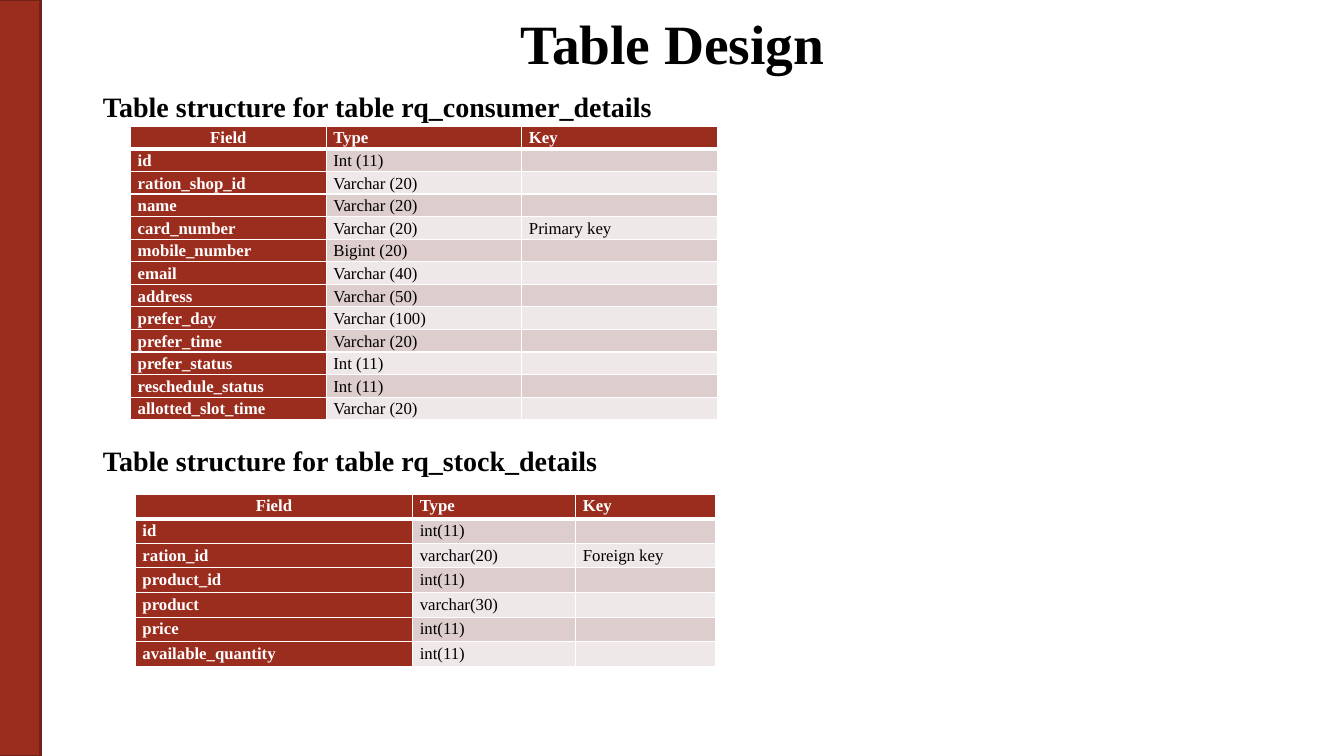
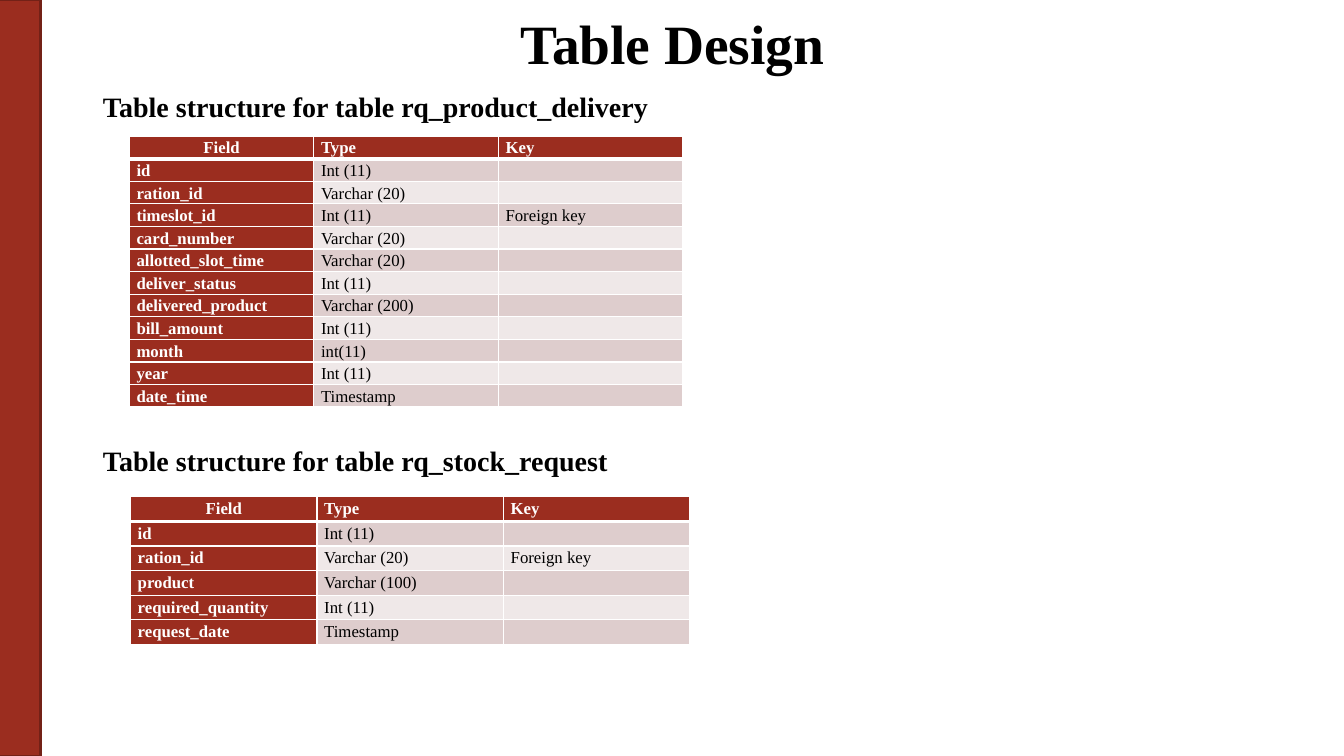
from dataclasses import dataclass

from lxml.etree import SubElement
from pptx import Presentation
from pptx.dml.color import RGBColor
from pptx.enum.shapes import MSO_SHAPE as Preset
from pptx.enum.text import MSO_AUTO_SIZE as AutoSize, MSO_ANCHOR as Anchor, PP_ALIGN as Align
from pptx.oxml.ns import qn
from pptx.slide import Slide, SlideLayout
from pptx.table import _Cell as Cell
from pptx.text.text import _Paragraph as Paragraph
from pptx.util import Cm, Pt

# Shared look
BRICK = RGBColor(0x9B, 0x2D, 0x1F)
DARK_BRICK = RGBColor(0x73, 0x21, 0x17)
ROSE = RGBColor(0xDE, 0xCD, 0xCD)
PALE_ROSE = RGBColor(0xEF, 0xE8, 0xE8)
WHITE = RGBColor(0xFF, 0xFF, 0xFF)
BLACK = RGBColor(0, 0, 0)
FONT = "Times New Roman"
CELL_SIZE = 12
HEADING_GAP = Pt(229)
TITLE_BOX = (2.34, 0.36, 29.21, 1.42)
BODY_BOX = (2.34, 2.13, 29.21, 15.04)
HEADER = ("Field", "Type", "Key")


@dataclass(frozen=True)
class Schema:
    """One database table; lengths in cm, fields as (name, type[, key])."""
    name: str
    left: float
    top: float
    widths: tuple[float, float, float]
    row_height: float
    fields: tuple[tuple[str, ...], ...]


CONSUMER = Schema("rq_consumer_details", 3.29, 3.18, (4.93,) * 3, 0.57, (
    ("id", "Int (11)"),
    ("ration_shop_id", "Varchar (20)"),
    ("name", "Varchar (20)"),
    ("card_number", "Varchar (20)", "Primary key"),
    ("mobile_number", "Bigint (20)"),
    ("email", "Varchar (40)"),
    ("address", "Varchar (50)"),
    ("prefer_day", "Varchar (100)"),
    ("prefer_time", "Varchar (20)"),
    ("prefer_status", "Int (11)"),
    ("reschedule_status", "Int (11)"),
    ("allotted_slot_time", "Varchar (20)"),
))
STOCK = Schema("rq_stock_details", 3.41, 12.45, (6.99, 4.11, 3.53), 0.62, (
    ("id", "int(11)"),
    ("ration_id", "varchar(20)", "Foreign key"),
    ("product_id", "int(11)"),
    ("product", "varchar(30)"),
    ("price", "int(11)"),
    ("available_quantity", "int(11)"),
))
DELIVERY = Schema("rq_product_delivery", 3.26, 3.43, (4.65,) * 3, 0.57, (
    ("id", "Int (11)"),
    ("ration_id", "Varchar (20)"),
    ("timeslot_id", "Int (11)", "Foreign key"),
    ("card_number", "Varchar (20)"),
    ("allotted_slot_time", "Varchar (20)"),
    ("deliver_status", "Int (11)"),
    ("delivered_product", "Varchar (200)"),
    ("bill_amount", "Int (11)"),
    ("month", "int(11)"),
    ("year", "Int (11)"),
    ("date_time", "Timestamp"),
))
REQUEST = Schema("rq_stock_request", 3.29, 12.52, (4.7,) * 3, 0.62, (
    ("id", "Int (11)"),
    ("ration_id", "Varchar (20)", "Foreign key"),
    ("product", "Varchar (100)"),
    ("required_quantity", "Int (11)"),
    ("request_date", "Timestamp"),
))
PAGES = ((CONSUMER, STOCK), (DELIVERY, REQUEST))


def add_text(paragraph: Paragraph, text: str, size: float, color: RGBColor, bold: bool) -> None:
    run = paragraph.add_run()
    run.text = text
    run.font.name = FONT
    run.font.size = Pt(size)
    run.font.bold = bold
    run.font.color.rgb = color


def place_placeholders(layout: SlideLayout) -> None:
    """Set the title and body places once, for every slide."""
    for index, box in enumerate((TITLE_BOX, BODY_BOX)):
        holder = layout.placeholders[index]
        holder.left, holder.top, holder.width, holder.height = map(Cm, box)


def add_master_band(slide: Slide) -> None:
    """Draw the side band and hand it to the slide master."""
    band = slide.shapes.add_shape(Preset.RECTANGLE, Cm(-0.05), 0, Cm(1.07), Cm(19.05))
    band.shadow.inherit = False
    band.fill.solid()
    band.fill.fore_color.rgb = BRICK
    band.line.color.rgb = DARK_BRICK
    band.line.width = Pt(2)
    band.element.nvSpPr.cNvPr.set("id", "20")
    slide.slide_layout.slide_master.element.cSld.spTree.insert(2, band.element)


def add_title(slide: Slide) -> None:
    frame = slide.shapes.title.text_frame
    frame.auto_size = AutoSize.NONE
    frame.vertical_anchor = Anchor.MIDDLE
    heading = frame.paragraphs[0]
    heading.alignment = Align.CENTER
    add_text(heading, "Table Design", 39.6, BLACK, True)


def add_headings(slide: Slide, schemas: tuple[Schema, ...]) -> None:
    frame = slide.placeholders[1].text_frame
    frame.auto_size = AutoSize.NONE
    for index, schema in enumerate(schemas):
        heading = frame.add_paragraph() if index else frame.paragraphs[0]
        heading.space_before = HEADING_GAP if index else Pt(0)
        properties = heading._p.get_or_add_pPr()
        properties.set("marL", "0")
        properties.set("indent", "0")
        SubElement(properties, qn("a:buNone"))
        add_text(heading, f"Table structure for table {schema.name}", 20, BLACK, True)


def set_borders(cell: Cell, row: int) -> None:
    """White rules, heavier between the header and the first field."""
    widths = {"L": 1, "R": 1, "T": 3 if row == 1 else 1, "B": 3 if row == 0 else 1}
    properties = cell._tc.get_or_add_tcPr()
    for side, width in widths.items():
        rule = SubElement(properties, qn(f"a:ln{side}"), w=str(Pt(width)))
        fill = SubElement(rule, qn("a:solidFill"))
        SubElement(fill, qn("a:srgbClr"), val=str(WHITE))


def fill_cell(cell: Cell, text: str, row: int, column: int) -> None:
    is_label = row == 0 or column == 0
    set_borders(cell, row)
    cell.fill.solid()
    cell.fill.fore_color.rgb = BRICK if is_label else ROSE if row % 2 else PALE_ROSE
    cell.margin_left = cell.margin_right = Cm(0.18)
    cell.margin_top = cell.margin_bottom = 0
    entry = cell.text_frame.paragraphs[0]
    entry.line_spacing = 1.15
    entry.alignment = Align.CENTER if row == column == 0 else Align.LEFT
    if text:
        add_text(entry, text, CELL_SIZE, WHITE if is_label else BLACK, is_label)
    else:  # keeps empty cells from stretching the row
        SubElement(entry._p, qn("a:endParaRPr"), sz=str(CELL_SIZE * 100))


def add_schema(slide: Slide, schema: Schema) -> None:
    rows = (HEADER, *schema.fields)
    table = slide.shapes.add_table(
        len(rows), len(HEADER), Cm(schema.left), Cm(schema.top),
        Cm(sum(schema.widths)), Cm(schema.row_height * len(rows))).table
    for column, width in zip(table.columns, schema.widths):
        column.width = Cm(width)
    for row, values in enumerate(rows):
        table.rows[row].height = Cm(schema.row_height)
        for column in range(len(HEADER)):
            text = values[column] if column < len(values) else ""
            fill_cell(table.cell(row, column), text, row, column)


def main() -> None:
    deck = Presentation()
    deck.slide_width, deck.slide_height = Cm(33.87), Cm(19.05)
    layout = deck.slide_layouts[1]
    place_placeholders(layout)
    for number, schemas in enumerate(PAGES):
        slide = deck.slides.add_slide(layout)
        if number == 0:
            add_master_band(slide)
        add_title(slide)
        add_headings(slide, schemas)
        for schema in schemas:
            add_schema(slide, schema)
    deck.save("out.pptx")


if __name__ == "__main__":
    main()
